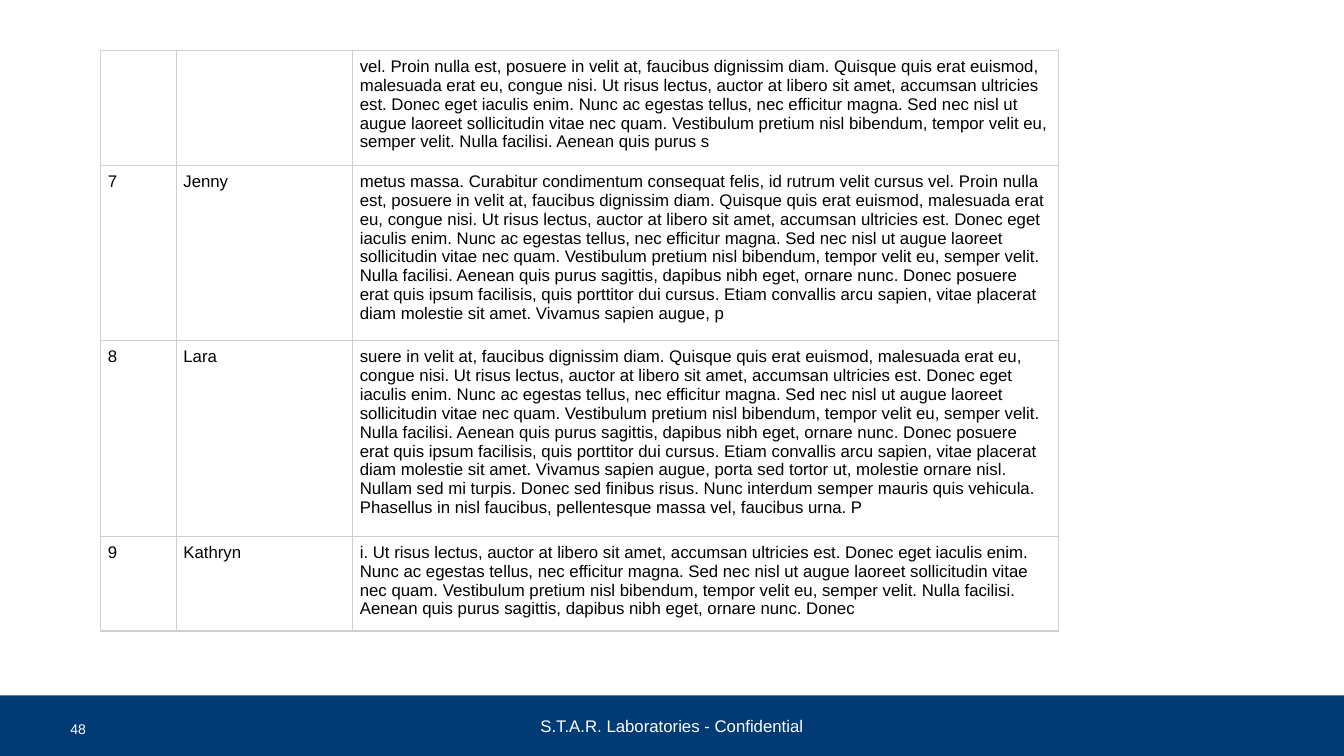
"""Build the slide that continues a numbered table of names and remarks."""
from dataclasses import dataclass

from lxml import etree
from pptx import Presentation
from pptx import util as u
from pptx.dml.color import RGBColor
from pptx.enum import shapes, text
from pptx.oxml import ns

COLORS = {"navy": "003B75", "white": "FFFFFF", "black": "000000", "border": "CFCFCF"}
FONT = "Arial"
SLIDE_WIDTH, SLIDE_HEIGHT, FOOTER_HEIGHT = 960, 540, 43.2
COLUMN_WIDTHS = (54, 126, 504)
CELL_MARGIN, LINE_HEIGHT = 5.04, 13.4

SENTENCES = (
    "metus massa.",
    "Curabitur condimentum consequat felis, id rutrum velit cursus vel.",
    "Proin nulla est, posuere in velit at, faucibus dignissim diam.",
    "Quisque quis erat euismod, malesuada erat eu, congue nisi.",
    "Ut risus lectus, auctor at libero sit amet, accumsan ultricies est.",
    "Donec eget iaculis enim.",
    "Nunc ac egestas tellus, nec efficitur magna.",
    "Sed nec nisl ut augue laoreet sollicitudin vitae nec quam.",
    "Vestibulum pretium nisl bibendum, tempor velit eu, semper velit.",
    "Nulla facilisi.",
    "Aenean quis purus sagittis, dapibus nibh eget, ornare nunc.",
    "Donec posuere erat quis ipsum facilisis, quis porttitor dui cursus.",
    "Etiam convallis arcu sapien, vitae placerat diam molestie sit amet.",
    "Vivamus sapien augue, porta sed tortor ut, molestie ornare nisl.",
    "Nullam sed mi turpis.",
    "Donec sed finibus risus.",
    "Nunc interdum semper mauris quis vehicula.",
    "Phasellus in nisl faucibus, pellentesque massa vel, faucibus urna.",
    "P",
)
PASSAGE = " ".join(SENTENCES)


@dataclass(frozen=True)
class Entry:
    """One table row, with its remark given by the first and last words in the passage."""

    number: str
    name: str
    start: str
    end: str
    lines: int

    def remark(self) -> str:
        """Return the part of the passage that belongs to this row."""
        return PASSAGE[PASSAGE.index(self.start):PASSAGE.index(self.end) + len(self.end)]


ENTRIES = (
    Entry("", "", "vel. Proin", "purus s", 5),
    Entry("7", "Jenny", "metus massa", "augue, p", 8),
    Entry("8", "Lara", "suere in", "urna. P", 9),
    Entry("9", "Kathryn", "i. Ut risus", "nunc. Donec", 4),
)


def color(name: str) -> RGBColor:
    """Return a named colour."""
    return RGBColor.from_string(COLORS[name])


def write(frame, content: str, *, size: float = 12, fill: str = "black",
          align=text.PP_ALIGN.LEFT) -> None:
    """Write one formatted paragraph into a text frame."""
    frame.word_wrap = True
    paragraph = frame.paragraphs[0]
    paragraph.text = content
    paragraph.alignment = align
    paragraph.font.name = FONT
    paragraph.font.size = u.Pt(size)
    paragraph.font.color.rgb = color(fill)


def add_borders(cell, width: float = 1) -> None:
    """Draw a solid line on all four sides of a cell."""
    properties = cell._tc.get_or_add_tcPr()
    for side in ("lnL", "lnR", "lnT", "lnB"):
        line = etree.SubElement(properties, ns.qn(f"a:{side}"), w=str(u.Pt(width)))
        solid = etree.SubElement(line, ns.qn("a:solidFill"))
        etree.SubElement(solid, ns.qn("a:srgbClr"), val=COLORS["border"])


def add_footer(slide) -> None:
    """Add the footer bar and the page number."""
    top = SLIDE_HEIGHT - FOOTER_HEIGHT
    bar = slide.shapes.add_shape(shapes.MSO_SHAPE.RECTANGLE, u.Pt(0), u.Pt(top),
                                 u.Pt(SLIDE_WIDTH), u.Pt(FOOTER_HEIGHT))
    bar.shadow.inherit = False
    bar.fill.solid()
    bar.fill.fore_color.rgb = color("navy")
    bar.line.fill.background()
    bar.text_frame.vertical_anchor = text.MSO_ANCHOR.MIDDLE
    write(bar.text_frame, "S.T.A.R. Laboratories - Confidential", fill="white",
          align=text.PP_ALIGN.CENTER)
    page_number = slide.shapes.add_textbox(u.Pt(43.2), u.Pt(511.2), u.Pt(62.64), u.Pt(23.76))
    write(page_number.text_frame, "48", size=10, fill="white")


def add_entries(slide) -> None:
    """Add the table of entries."""
    heights = [entry.lines * LINE_HEIGHT + 2 * CELL_MARGIN for entry in ENTRIES]
    table = slide.shapes.add_table(len(ENTRIES), len(COLUMN_WIDTHS), u.Pt(72), u.Pt(36),
                                   u.Pt(sum(COLUMN_WIDTHS)), u.Pt(sum(heights))).table
    table.first_row = table.horz_banding = False
    for column, width in zip(table.columns, COLUMN_WIDTHS):
        column.width = u.Pt(width)
    for row, entry, height in zip(table.rows, ENTRIES, heights):
        row.height = u.Pt(height)
        for cell, content in zip(row.cells, (entry.number, entry.name, entry.remark())):
            add_borders(cell)
            cell.fill.solid()
            cell.fill.fore_color.rgb = color("white")
            cell.margin_left = cell.margin_right = u.Pt(CELL_MARGIN)
            cell.margin_top = cell.margin_bottom = u.Pt(CELL_MARGIN)
            write(cell.text_frame, content)


def main() -> None:
    """Create and save the presentation."""
    presentation = Presentation()
    presentation.slide_width = u.Pt(SLIDE_WIDTH)
    presentation.slide_height = u.Pt(SLIDE_HEIGHT)
    slide = presentation.slides.add_slide(presentation.slide_layouts[6])
    add_footer(slide)
    add_entries(slide)
    presentation.save("out.pptx")


if __name__ == "__main__":
    main()
